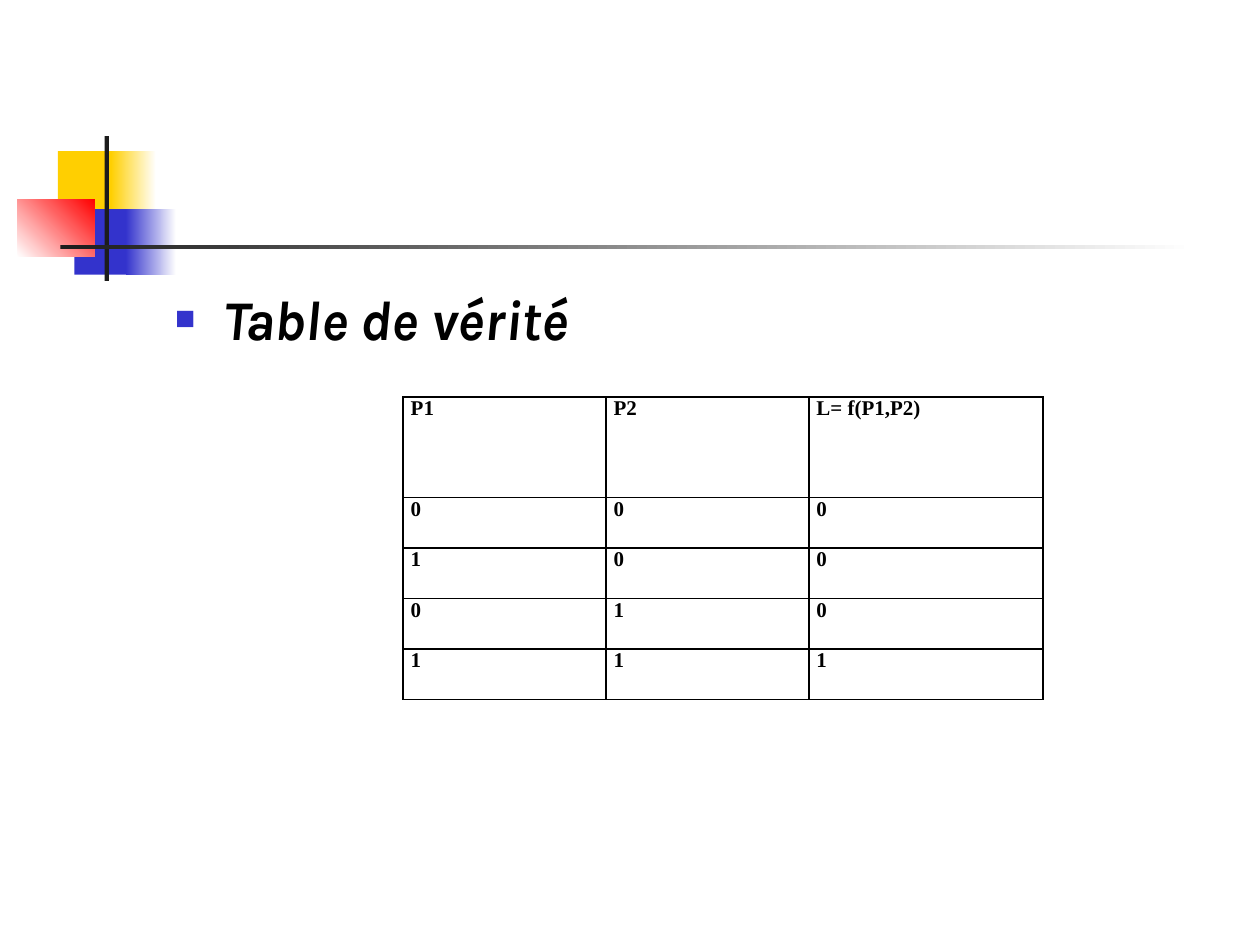
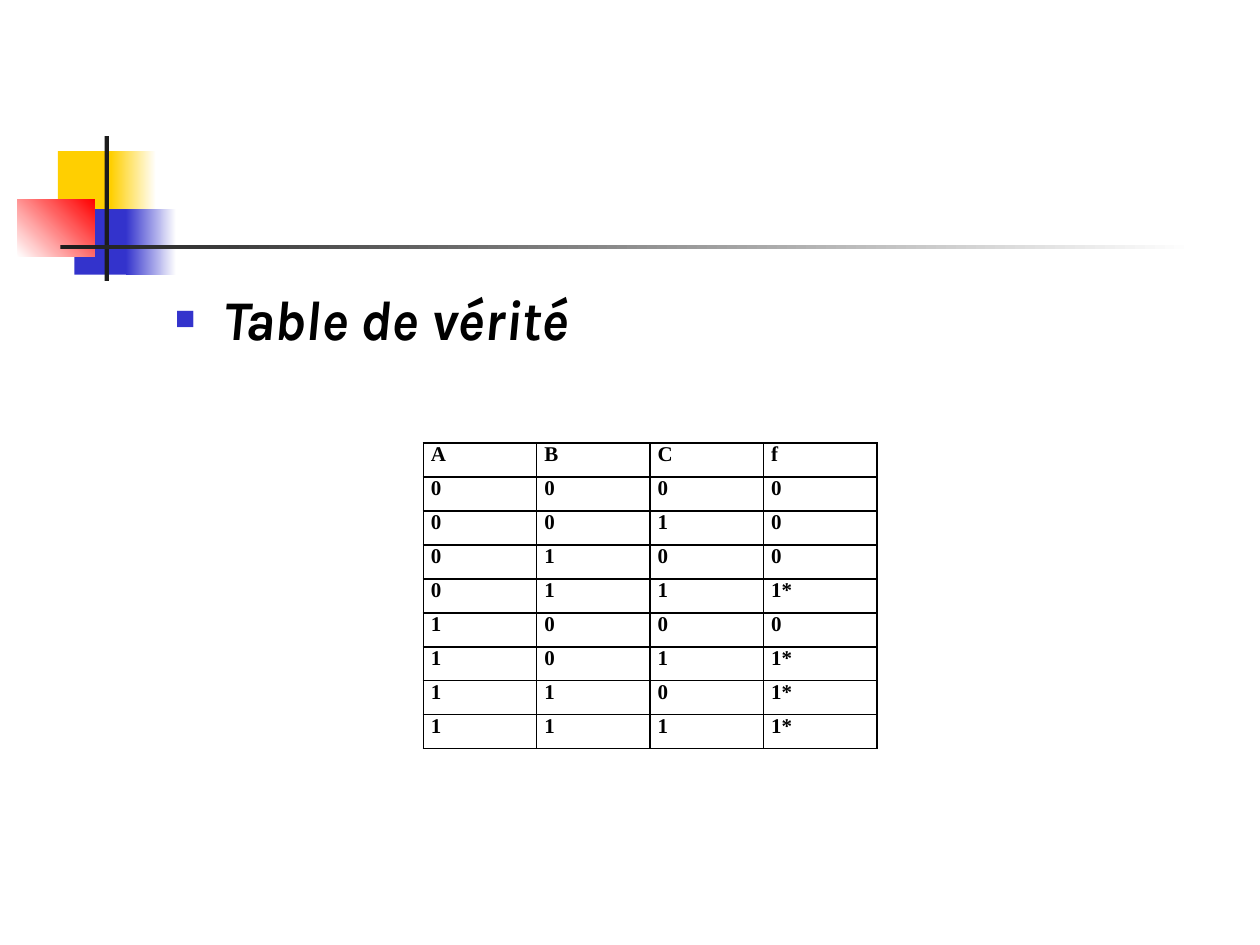
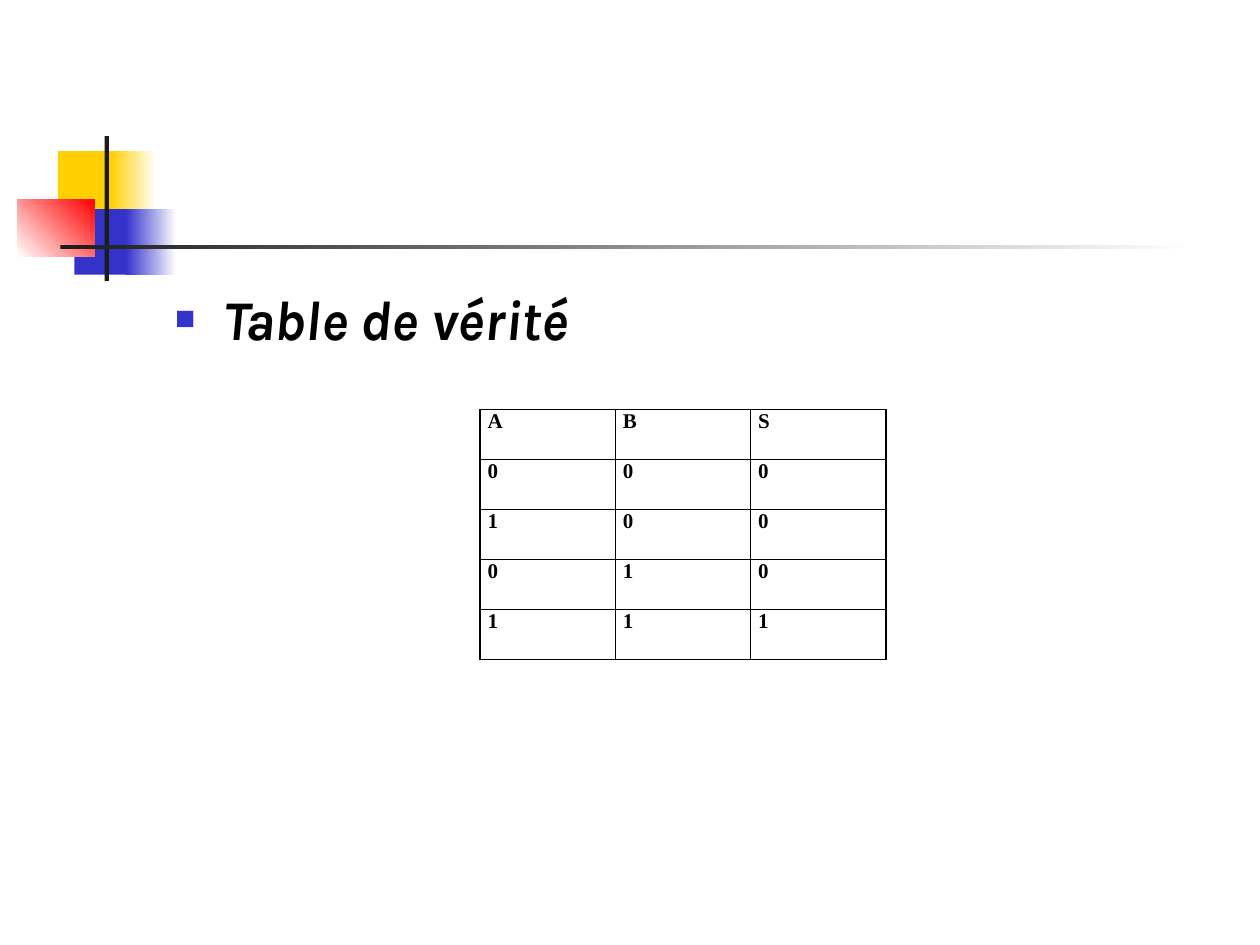
from dataclasses import dataclass

from lxml import etree
from pptx import Presentation
from pptx.dml.color import RGBColor
from pptx.enum.shapes import MSO_SHAPE
from pptx.enum.text import MSO_ANCHOR, PP_ALIGN
from pptx.oxml.ns import qn
from pptx.util import Inches, Pt

RECTANGLE = MSO_SHAPE.RECTANGLE
JUSTIFY = PP_ALIGN.JUSTIFY
TOP = MSO_ANCHOR.TOP


@dataclass(frozen=True)
class Theme:
    yellow: str = "FFCF01"
    blue: str = "3333CC"
    red: str = "FF0000"
    ink: str = "1C1C1C"
    white: str = "FFFFFF"
    black: str = "000000"
    heading_font: str = "Karla"
    table_font: str = "Times New Roman"
    heading_size: int = 32
    table_size: int = 12
    border_width: int = 1


THEME = Theme()


def set_all(target, values):
    for name, value in values.items():
        setattr(target, name, value)


def add_xml(parent, tag, **attributes):
    return etree.SubElement(parent, qn(tag), attributes)


prs = Presentation()
prs.slide_width, prs.slide_height = Inches(10), Inches(7.5)

# Grid of 100 columns by 75 rows
COL = prs.slide_width // 100
ROW = prs.slide_height // 75

# Corner ornament: column, row, columns, rows, start colour, end colour, angle
ORNAMENT = [
    (4.6, 12, 4.8, 5.2, THEME.yellow, None, 0),
    (8.8, 12, 3.6, 5.2, THEME.yellow, THEME.white, 0),
    (5.9, 16.6, 4.6, 5.2, THEME.blue, None, 0),
    (10, 16.6, 4, 5.2, THEME.blue, THEME.white, 0),
    (1.4, 15.8, 6.1, 4.6, THEME.white, THEME.red, 45),
    (8.3, 10.8, 0.35, 11.5, THEME.ink, None, 0),
    (4.8, 19.45, 90, 0.35, THEME.ink, THEME.white, 0),
]

# Truth tables: corner, column widths and row heights in grid units
TRUTH_TABLES = [
    dict(corner=(32, 31.5), columns=[16.1, 16.1, 18.6], rows=[8] + [4] * 4,
         lines=["P1 P2 L=_f(P1,P2)", "0 0 0", "1 0 0", "0 1 0", "1 1 1"]),
    dict(corner=(33.6, 35.15), columns=[9] * 4, rows=[2.7] * 9,
         lines=["A B C f", "0 0 0 0", "0 0 1 0", "0 1 0 0", "0 1 1 1*",
                "1 0 0 0", "1 0 1 1*", "1 1 0 1*", "1 1 1 1*"]),
    dict(corner=(38.1, 32.5), columns=[10.74] * 3, rows=[3.97] * 5,
         lines=["A B S", "0 0 0", "1 0 0", "0 1 0", "1 1 1"]),
]

HEADING_FORMAT = dict(name=THEME.heading_font, size=Pt(THEME.heading_size),
                      bold=True, italic=True)
CELL_FONT = dict(name=THEME.table_font, size=Pt(THEME.table_size), bold=True)
CELL_FORMAT = dict(margin_left=Inches(0.06), margin_right=Inches(0.06),
                   margin_top=0, margin_bottom=0, vertical_anchor=TOP)
PLAIN_TABLE = dict(first_row=False, horz_banding=False)

layout = prs.slide_layouts[1]
slides = [prs.slides.add_slide(layout) for _ in TRUTH_TABLES]

# Ornament, shared by all slides through their layout
for number, (x, y, w, h, start, end, angle) in enumerate(ORNAMENT):
    block = slides[0].shapes.add_shape(
        RECTANGLE, int(x * COL), int(y * ROW), int(w * COL), int(h * ROW))
    block.shadow.inherit = False
    block.line.fill.background()
    if end:
        block.fill.gradient()
        block.fill.gradient_angle = angle
        for stop, color in zip(block.fill.gradient_stops, (start, end)):
            stop.color.rgb = RGBColor.from_string(color)
    else:
        block.fill.solid()
        block.fill.fore_color.rgb = RGBColor.from_string(start)
    block.element.xpath("./p:nvSpPr/p:cNvPr")[0].set("id", str(100 + number))
    layout.shapes.element.insert(2 + number, block.element)

for slide, truth in zip(slides, TRUTH_TABLES):
    # Heading in the body placeholder
    title = slide.shapes.title.element
    title.getparent().remove(title)
    body = slide.placeholders[1]
    set_all(body, dict(left=int(12.9 * COL), top=int(22.1 * ROW),
                       width=85 * COL, height=45 * ROW))
    heading = body.text_frame.paragraphs[0]
    heading.text = "Table de vérité"
    heading.space_before = Pt(0)
    properties = heading._p.get_or_add_pPr()
    properties.set("marL", str(Inches(0.38)))
    properties.set("indent", str(-Inches(0.38)))
    add_xml(add_xml(properties, "a:buClr"), "a:srgbClr", val=THEME.blue)
    add_xml(properties, "a:buSzPct", val="60000")
    add_xml(properties, "a:buFont", typeface="Arial")
    add_xml(properties, "a:buChar", char="■")
    set_all(heading.runs[0].font, HEADING_FORMAT)
    heading.runs[0].font.color.rgb = RGBColor.from_string(THEME.black)

    # Truth table
    x, y = truth["corner"]
    columns, rows = truth["columns"], truth["rows"]
    table = slide.shapes.add_table(
        len(rows), len(columns), int(x * COL), int(y * ROW),
        int(sum(columns) * COL), int(sum(rows) * ROW)).table
    set_all(table, PLAIN_TABLE)
    for column, width in zip(table.columns, columns):
        column.width = int(width * COL)
    for row, height, line in zip(table.rows, rows, truth["lines"]):
        row.height = int(height * ROW)
        for cell, value in zip(row.cells, line.split()):
            cell.text = value.replace("_", " ")
            set_all(cell, CELL_FORMAT)
            entry = cell.text_frame.paragraphs[0]
            entry.alignment = JUSTIFY
            set_all(entry.runs[0].font, CELL_FONT)
            entry.runs[0].font.color.rgb = RGBColor.from_string(THEME.black)
            for side in ("a:lnL", "a:lnR", "a:lnT", "a:lnB"):
                border = add_xml(cell._tc.get_or_add_tcPr(), side,
                                 w=str(Pt(THEME.border_width)))
                add_xml(add_xml(border, "a:solidFill"), "a:srgbClr", val=THEME.black)
            cell.fill.background()

prs.save("out.pptx")
